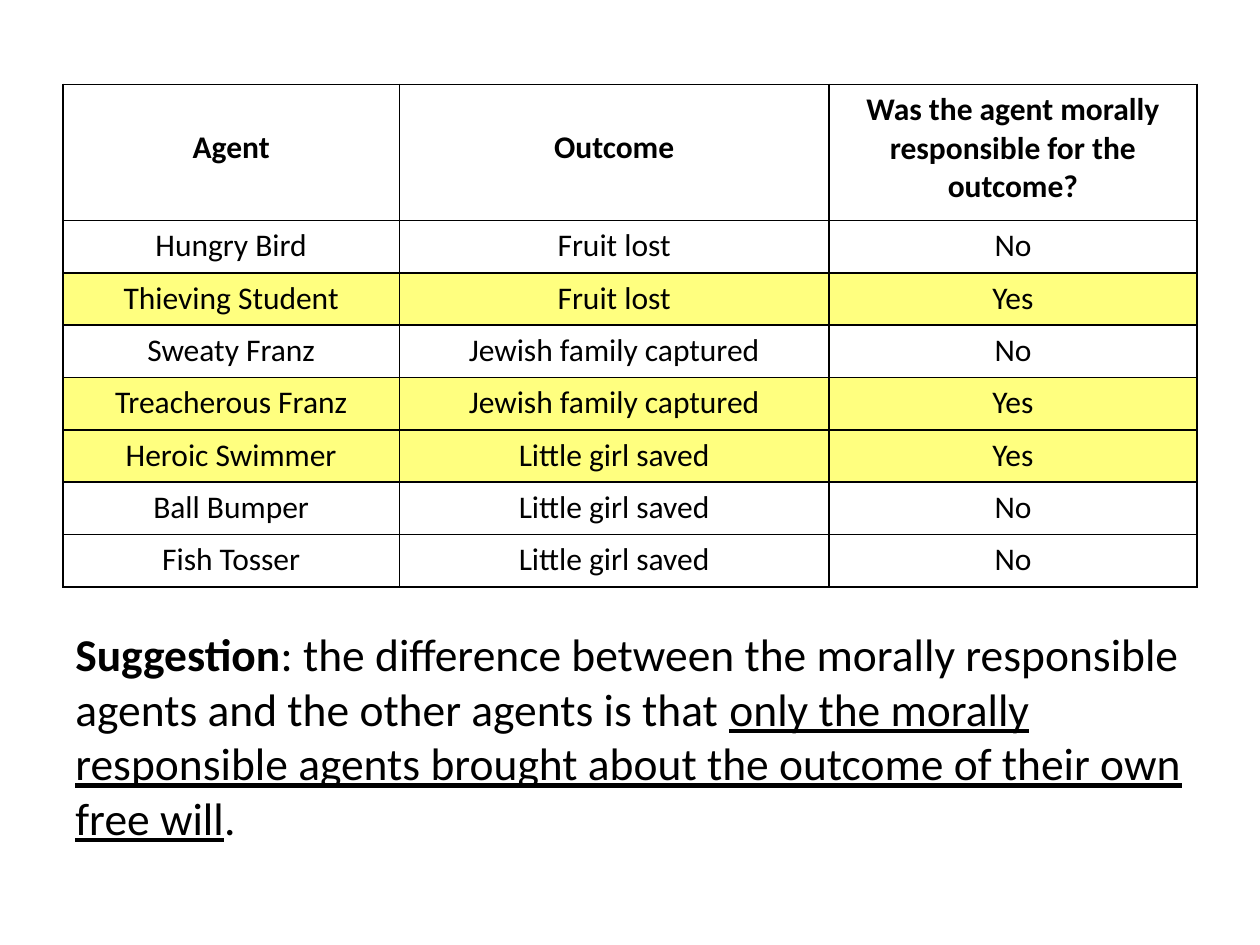
from dataclasses import dataclass

from lxml import etree
from pptx import Presentation
from pptx.dml.color import RGBColor
from pptx.enum.text import MSO_ANCHOR, PP_ALIGN
from pptx.oxml.ns import qn
from pptx.util import Inches, Pt

CENTER = PP_ALIGN.CENTER
TOP = MSO_ANCHOR.TOP
BLANK_LAYOUT = 6


@dataclass(frozen=True)
class Theme:
    font: str = "Calibri"
    ink: str = "000000"
    highlight: str = "FFFF00"
    highlight_alpha: int = 50
    border_pt: float = 1
    table_pt: float = 18
    suggestion_pt: float = 26


@dataclass(frozen=True)
class Case:
    agent: str
    outcome: str
    responsible: bool

    @property
    def cells(self) -> tuple[str, str, str]:
        return self.agent, self.outcome, "Yes" if self.responsible else "No"


@dataclass(frozen=True)
class Phrase:
    text: str
    bold: bool = False
    underline: bool = False


THEME = Theme()

# Content
HEADERS = ("Agent", "Outcome", "Was the agent morally responsible for the outcome?")
CASES = (
    Case("Hungry Bird", "Fruit lost", False),
    Case("Thieving Student", "Fruit lost", True),
    Case("Sweaty Franz", "Jewish family captured", False),
    Case("Treacherous Franz", "Jewish family captured", True),
    Case("Heroic Swimmer", "Little girl saved", True),
    Case("Ball Bumper", "Little girl saved", False),
    Case("Fish Tosser", "Little girl saved", False),
)
SUGGESTION = (
    Phrase("Suggestion", bold=True),
    Phrase(": the difference between the morally responsible agents "
           "and the other agents is that "),
    Phrase("only the morally responsible agents brought about the outcome "
           "of their own free will", underline=True),
    Phrase("."),
)

# Layout
LEFT, WIDTH = 0.5, 9
TABLE_TOP, TABLE_HEIGHT, HEADER_HEIGHT = 0.67, 3.99, 1.08
COLUMN_WIDTHS = (2.67, 3.41, 2.92)
CELL_MARGIN = 0.05
HEADER_LINE = 0.3  # short headers sit level with the second line of the long one


def add_phrase(paragraph, phrase: Phrase, size: float) -> None:
    run = paragraph.add_run()
    run.text = phrase.text
    formats = {"name": THEME.font, "size": Pt(size),
               "bold": phrase.bold, "underline": phrase.underline}
    for attribute, value in formats.items():
        setattr(run.font, attribute, value)
    run.font.color.rgb = RGBColor.from_string(THEME.ink)


def add_borders(cell) -> None:
    properties = cell._tc.get_or_add_tcPr()
    for side in ("a:lnL", "a:lnR", "a:lnT", "a:lnB"):
        line = etree.SubElement(properties, qn(side), w=str(Pt(THEME.border_pt)))
        fill = etree.SubElement(line, qn("a:solidFill"))
        etree.SubElement(fill, qn("a:srgbClr"), val=THEME.ink)


def fill_cell(cell, highlighted: bool) -> None:
    if not highlighted:
        cell.fill.background()
        return
    cell.fill.solid()
    cell.fill.fore_color.rgb = RGBColor.from_string(THEME.highlight)
    color = cell._tc.tcPr.find(f"{qn('a:solidFill')}/{qn('a:srgbClr')}")
    etree.SubElement(color, qn("a:alpha"), val=str(THEME.highlight_alpha * 1000))


def write_cell(cell, text: str, bold: bool = False, highlighted: bool = False,
               margin_top: float = CELL_MARGIN) -> None:
    add_borders(cell)
    fill_cell(cell, highlighted)
    cell.vertical_anchor = TOP
    cell.margin_top = Inches(margin_top)
    paragraph = cell.text_frame.paragraphs[0]
    paragraph.alignment = CENTER
    add_phrase(paragraph, Phrase(text, bold=bold), THEME.table_pt)


def add_agent_table(slide) -> None:
    table = slide.shapes.add_table(
        len(CASES) + 1, len(HEADERS), Inches(LEFT), Inches(TABLE_TOP),
        Inches(WIDTH), Inches(TABLE_HEIGHT)).table
    table.first_row = table.horz_banding = False
    for column, width in zip(table.columns, COLUMN_WIDTHS):
        column.width = Inches(width)

    # Header row
    table.rows[0].height = Inches(HEADER_HEIGHT)
    for cell, header in zip(table.rows[0].cells, HEADERS):
        drop = 0 if header == HEADERS[-1] else HEADER_LINE
        write_cell(cell, header, bold=True, margin_top=CELL_MARGIN + drop)

    # One row per case, with responsible agents highlighted
    case_height = Inches((TABLE_HEIGHT - HEADER_HEIGHT) / len(CASES))
    for row_index, case in enumerate(CASES, start=1):
        row = table.rows[row_index]
        row.height = case_height
        for cell, text in zip(row.cells, case.cells):
            write_cell(cell, text, highlighted=case.responsible)


def add_suggestion(slide) -> None:
    frame = slide.shapes.add_textbox(
        Inches(LEFT), Inches(4.92), Inches(WIDTH), Inches(1.85)).text_frame
    frame.word_wrap = True
    for phrase in SUGGESTION:
        add_phrase(frame.paragraphs[0], phrase, THEME.suggestion_pt)


def main() -> None:
    presentation = Presentation()
    presentation.slide_width = Inches(10)
    presentation.slide_height = Inches(7.5)
    slide = presentation.slides.add_slide(presentation.slide_layouts[BLANK_LAYOUT])
    add_agent_table(slide)
    add_suggestion(slide)
    presentation.save("out.pptx")


if __name__ == "__main__":
    main()
